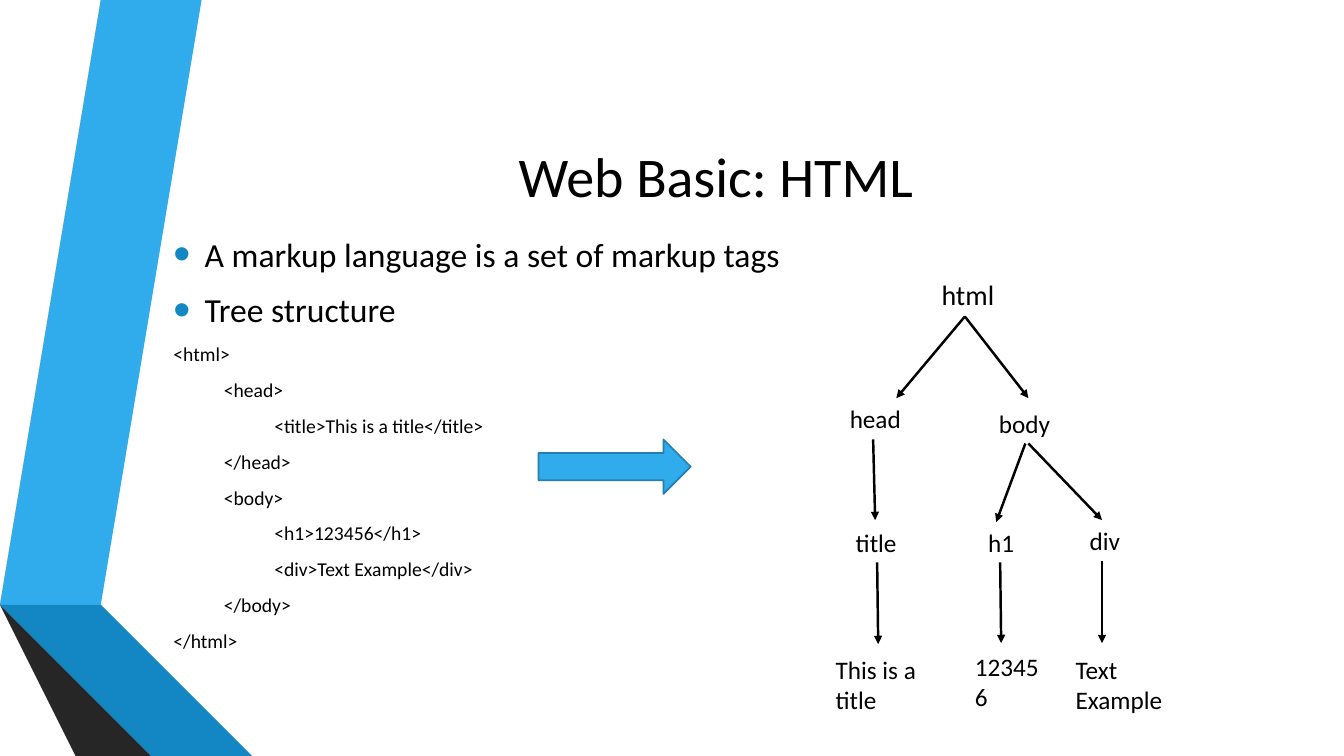
"""Builds the "Web Basic: HTML" slide with its code sample and tag tree."""
from dataclasses import dataclass

from lxml import etree
from pptx import Presentation
from pptx import util as u
from pptx.dml.color import RGBColor
from pptx.enum import shapes, text
from pptx.oxml.ns import qn

TITLE = "Web Basic: HTML"
BULLETS = ["A markup language is a set of markup tags", "Tree structure"]
CODE = [
    (0, "<html>"),
    (1, "<head>"),
    (2, "<title>This is a title</title>"),
    (1, "</head>"),
    (1, "<body>"),
    (2, "<h1>123456</h1>"),
    (2, "<div>Text Example</div>"),
    (1, "</body>"),
    (0, "</html>"),
]
LEFT, CENTER = text.PP_ALIGN.LEFT, text.PP_ALIGN.CENTER
NODES = [
    ("html", (8.97, 2.7, 1.26, 0.44), CENTER),
    ("head", (8.33, 3.95, 1.03, 0.4), LEFT),
    ("body", (9.81, 4, 1.26, 0.4), LEFT),
    ("title", (8.07, 5.18, 1.24, 0.4), CENTER),
    ("h1", (9.45, 5.18, 0.96, 0.4), CENTER),
    ("div", (10.71, 5.16, 1.1, 0.4), LEFT),
    ("This is a title", (8.19, 6.44, 1.03, 0.71), LEFT),
    ("123456", (9.57, 6.41, 0.84, 0.71), LEFT),
    ("Text Example", (10.57, 6.44, 1.35, 0.71), LEFT),
]
EDGES = [
    (9.57, 3.14, 8.89, 3.95),
    (9.57, 3.14, 10.2, 3.95),
    (8.66, 4.36, 8.68, 5.16),
    (10.17, 4.4, 9.88, 5.18),
    (10.2, 4.4, 10.93, 5.16),
    (8.7, 5.58, 8.71, 6.39),
    (9.92, 5.58, 9.93, 6.38),
    (10.93, 5.57, 10.93, 6.38),
]
RIBBONS = [
    ("30ACEC", [(0.5, 5.78), (0.77, 5.83), (1.73, 0), (1.45, 0)]),
    ("595959", [(1.39, 0), (1.11, 0), (0.16, 5.73), (0.44, 5.77)]),
    ("262626", [(0.16, 5.73), (1.45, 7.5), (1.51, 7.5)]),
    ("0C5A82", [(0.5, 5.79), (2.08, 7.5), (2.14, 7.5)]),
    ("1287C3", [(0.5, 5.78), (2.14, 7.5), (2.83, 7.5), (0.77, 5.83)]),
    ("404040", [(2.02, 7.5), (0.48, 5.83), (0.44, 5.77), (0.16, 5.73), (1.51, 7.5)]),
]


@dataclass(frozen=True)
class Theme:
    font: str = "Calibri"
    ink: str = "000000"
    bullet: str = "1287C3"
    arrow: str = "30ACEC"
    arrow_line: str = "247FAF"
    title: int = 40
    body: int = 24
    code: int = 14
    root: int = 20
    node: int = 18


T = Theme()


def rgb(value):
    return RGBColor.from_string(value)


def box(values):
    return [u.Inches(v) for v in values]


def add_run(p, content, size):
    r = p.add_run()
    r.text = content
    r.font.name, r.font.size = T.font, u.Pt(size)
    r.font.color.rgb = rgb(T.ink)


def place(sp, values, anchor):
    sp.left, sp.top, sp.width, sp.height = box(values)
    tf = sp.text_frame
    tf.word_wrap = True
    tf.auto_size = text.MSO_AUTO_SIZE.NONE
    tf.vertical_anchor = anchor
    return tf


def set_bullet(p, indent, bulleted):
    pPr = p._p.get_or_add_pPr()
    pPr.set("marL", str(u.Inches(indent)))
    pPr.set("indent", str(u.Inches(-indent if bulleted else 0)))
    if not bulleted:
        etree.SubElement(pPr, qn("a:buNone"))
        return
    color = etree.SubElement(pPr, qn("a:buClr"))
    etree.SubElement(color, qn("a:srgbClr"), val=T.bullet)
    etree.SubElement(pPr, qn("a:buSzPct"), val="145000")
    etree.SubElement(pPr, qn("a:buFont"), typeface="Arial")
    etree.SubElement(pPr, qn("a:buChar"), char="•")


def add_body(sp):
    tf = place(sp, (1.62, 2.27, 10.96, 4.4), text.MSO_ANCHOR.TOP)
    lines = [(0, 0.31, T.body, b) for b in BULLETS]
    lines += [(level, level * 0.5, T.code, c) for level, c in CODE]
    for i, (level, indent, size, content) in enumerate(lines):
        p = tf.add_paragraph() if i else tf.paragraphs[0]
        p.level = level
        set_bullet(p, indent, size == T.body)
        p.alignment = LEFT
        p.space_before = u.Pt(size * 0.2 if i else 0)
        p.space_after = u.Pt(6)
        add_run(p, content, size)


def add_ribbons(s):
    for i, (color, points) in enumerate(RIBBONS):
        builder = s.shapes.build_freeform(*points[0], scale=u.Inches(1))
        builder.add_line_segments(points[1:], close=True)
        sp = builder.convert_to_shape()
        sp.shadow.inherit = False
        sp.fill.solid()
        sp.fill.fore_color.rgb = rgb(color)
        sp.line.fill.background()
        s.shapes._spTree.insert(2 + i, sp._element)


def add_tree(s):
    for x1, y1, x2, y2 in EDGES:
        edge = s.shapes.add_connector(shapes.MSO_CONNECTOR.STRAIGHT, *box((x1, y1, x2, y2)))
        edge.line.color.rgb, edge.line.width = rgb(T.ink), u.Pt(1.75)
        etree.SubElement(edge.line._get_or_add_ln(), qn("a:tailEnd"), type="triangle")
        etree.SubElement(edge._element.spPr, qn("a:effectLst"))
    for i, (label, area, align) in enumerate(NODES):
        tf = place(s.shapes.add_textbox(0, 0, 0, 0), area, text.MSO_ANCHOR.TOP)
        p = tf.paragraphs[0]
        p.alignment = align
        add_run(p, label, T.node if i else T.root)


def add_arrow(s):
    arrow = s.shapes.add_shape(shapes.MSO_SHAPE.RIGHT_ARROW, *box((5.34, 4.36, 1.51, 0.54)))
    arrow.shadow.inherit = False
    arrow.fill.solid()
    arrow.fill.fore_color.rgb = rgb(T.arrow)
    arrow.line.color.rgb, arrow.line.width = rgb(T.arrow_line), u.Pt(1.25)


def main():
    prs = Presentation()
    prs.slide_width, prs.slide_height = box((13.33, 7.5))
    s = prs.slides.add_slide(prs.slide_layouts[1])
    tf = place(s.shapes.title, (1.62, 0.78, 10.96, 1.92), text.MSO_ANCHOR.MIDDLE)
    p = tf.paragraphs[0]
    p.alignment = CENTER
    add_run(p, TITLE, T.title)
    add_body(s.placeholders[1])
    add_ribbons(s)
    add_arrow(s)
    add_tree(s)
    prs.save("out.pptx")


if __name__ == "__main__":
    main()
